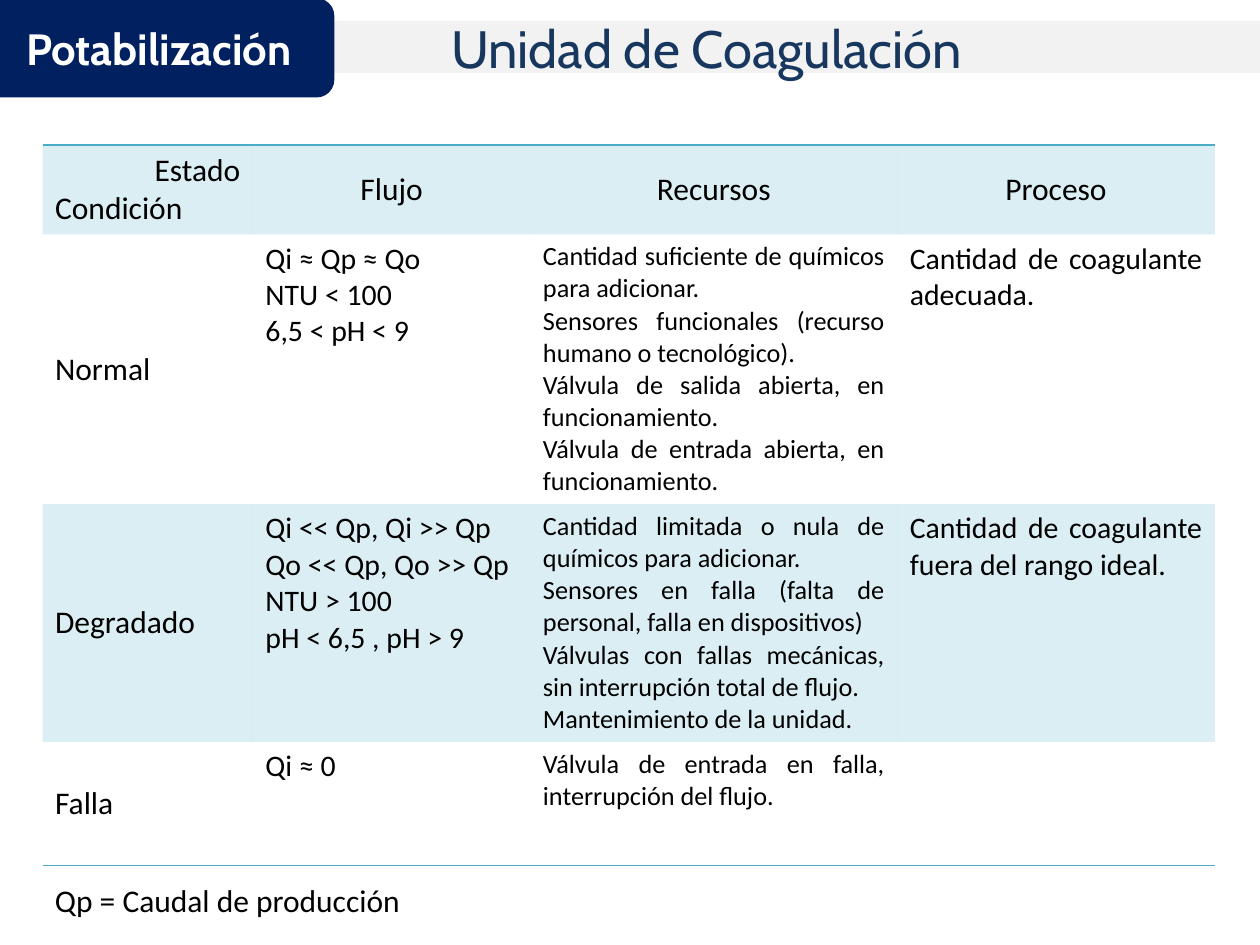
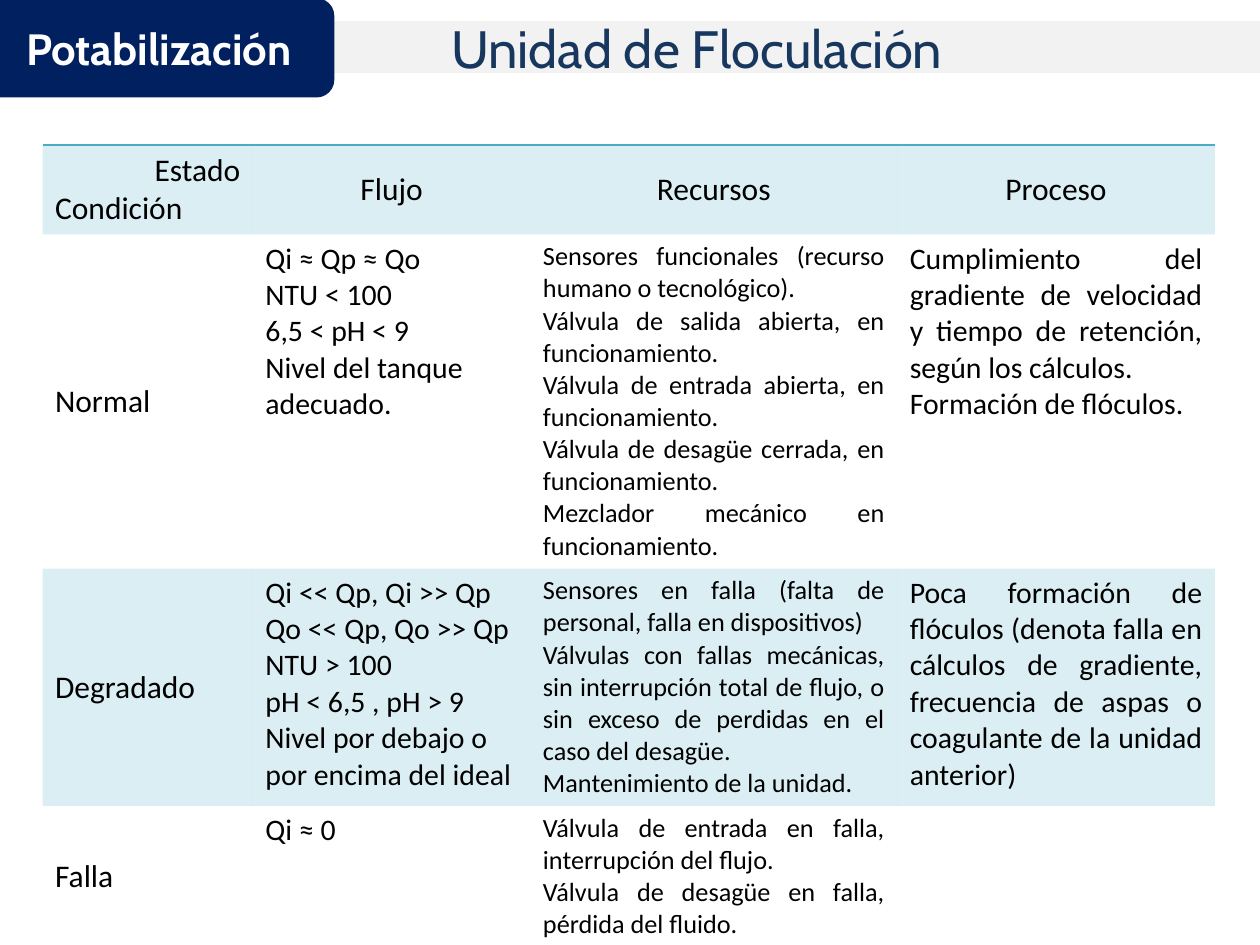
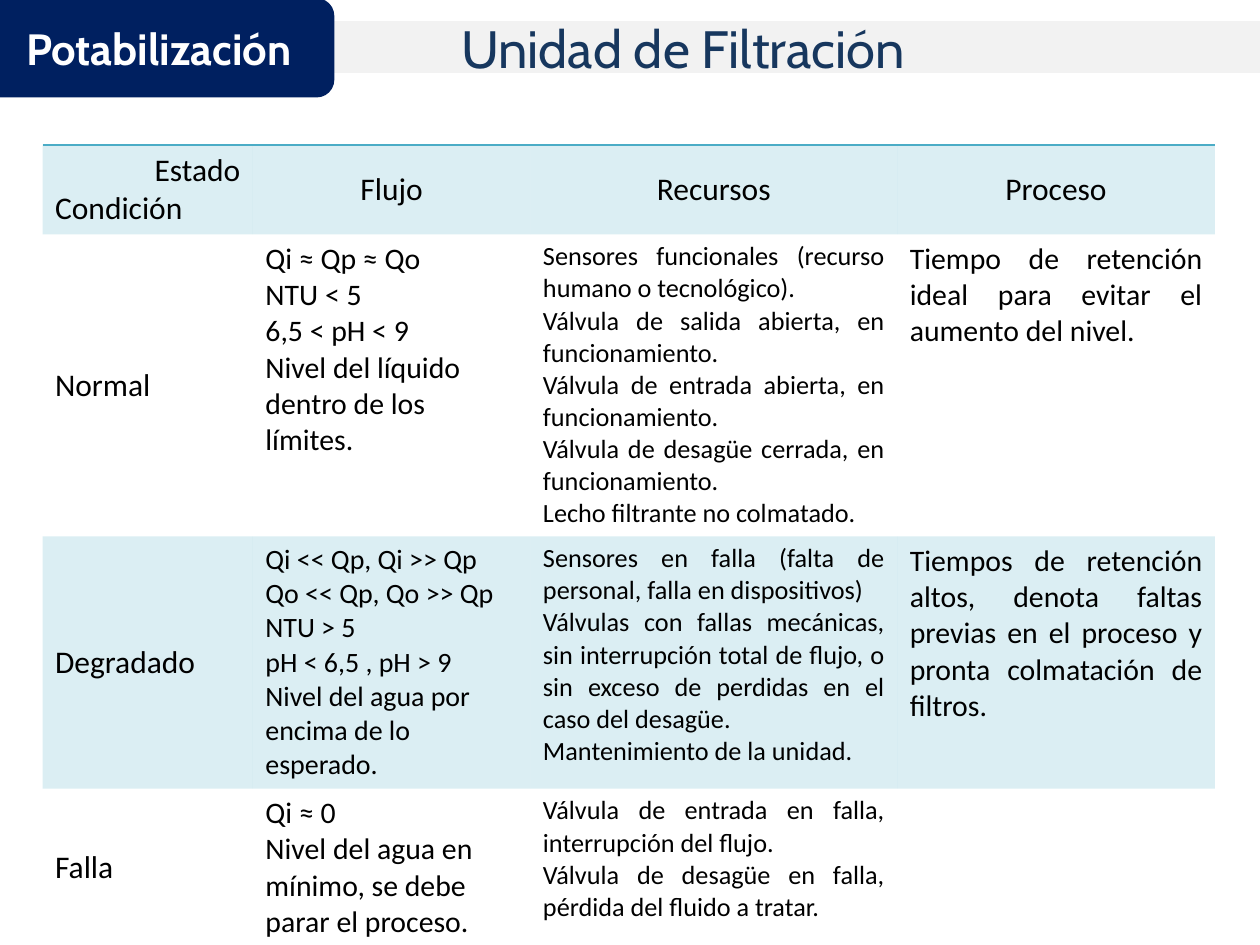
from lxml import etree
from pptx import Presentation
from pptx.dml.color import RGBColor
from pptx.enum import shapes, text
from pptx.oxml import ns
from pptx.util import Pt

NAVY = RGBColor(0x00, 0x20, 0x60)
TITLE_BLUE = RGBColor(0x17, 0x37, 0x5E)
BAND_GREY = RGBColor(0xF2, 0xF2, 0xF2)
TEAL = RGBColor(0x4B, 0xAC, 0xC6)
WHITE = RGBColor(0xFF, 0xFF, 0xFF)
BLACK = RGBColor(0x00, 0x00, 0x00)

SLIDE_WIDTH, SLIDE_HEIGHT = 720, 540
BAND_TOP, BAND_HEIGHT = 13, 28
TAB_BOX = (-8.64, 0, 198.72, 54.72)
TABLE_BOX = (24.3, 82.8, 670, 391)
NOTE_BOX = (24.3, 499.7, 214.5, 28.8)
COLUMN_WIDTHS = (120.2, 158.6, 209.6, 181.6)
ROW_HEIGHTS = (48.2, 144.7, 127.4, 70.6)
TINT_OPACITY = 20
NO_STYLE_NO_GRID = "{2D5ABB26-0587-4C30-8999-92F81FD0307C}"

TITLE_FONT = {"name": "Cabin", "size": Pt(30), "bold": False}
TAB_FONT = {"name": "Cabin", "size": Pt(25), "bold": True}
LABEL_FONT = {"name": "Calibri", "size": Pt(18), "bold": False}

LEFT, CENTER = text.PP_ALIGN.LEFT, text.PP_ALIGN.CENTER
RIGHT, JUSTIFY = text.PP_ALIGN.RIGHT, text.PP_ALIGN.JUSTIFY
TOP, MIDDLE = text.MSO_ANCHOR.TOP, text.MSO_ANCHOR.MIDDLE
BOTTOM = text.MSO_ANCHOR.BOTTOM

CONDITIONS = ("Normal", "Degradado", "Falla")
HEADINGS = ("Flujo", "Recursos", "Proceso")
COLUMN_SIZES = (17, 15, 17)
COLUMN_ALIGNMENTS = (LEFT, JUSTIFY, JUSTIFY)

NORMAL_FLOW = ["Qi ≈ Qp ≈ Qo", "NTU < 100", "6,5 < pH < 9"]
DEGRADED_FLOW = ["Qi << Qp, Qi >> Qp", "Qo << Qp, Qo >> Qp", "NTU > 100", "pH < 6,5 , pH > 9"]
NO_FLOW = "Qi ≈ 0"
SENSORS_AND_VALVES = [
    "Sensores funcionales (recurso humano o tecnológico).",
    "Válvula de salida abierta, en funcionamiento.",
    "Válvula de entrada abierta, en funcionamiento.",
]
DRAIN_CLOSED = "Válvula de desagüe cerrada, en funcionamiento."
SENSORS_FAILING = "Sensores en falla (falta de personal, falla en dispositivos)"
VALVES_FAILING = "Válvulas con fallas mecánicas, sin interrupción total de flujo"
MAINTENANCE = "Mantenimiento de la unidad."
DRAINED_RESOURCES = [
    SENSORS_FAILING,
    VALVES_FAILING + ", o sin exceso de perdidas en el caso del desagüe.",
    MAINTENANCE,
]
INLET_FAILED = "Válvula de entrada en falla, interrupción del flujo."


def with_turbidity(lines, limit):
    return [line.replace("100", limit) for line in lines]


UNITS = [
    {
        "title": "Unidad de Coagulación",
        "band_left": 178.6,
        "note": "Qp = Caudal de producción",
        "rows": [
            (NORMAL_FLOW,
             ["Cantidad suficiente de químicos para adicionar."] + SENSORS_AND_VALVES,
             ["Cantidad de coagulante adecuada."]),
            (DEGRADED_FLOW,
             ["Cantidad limitada o nula de químicos para adicionar.",
              SENSORS_FAILING, VALVES_FAILING + ".", MAINTENANCE],
             ["Cantidad de coagulante fuera del rango ideal."]),
            ([NO_FLOW], [INLET_FAILED], []),
        ],
    },
    {
        "title": "Unidad de Floculación",
        "band_left": 178.6,
        "rows": [
            (NORMAL_FLOW + ["Nivel del tanque adecuado."],
             SENSORS_AND_VALVES + [DRAIN_CLOSED, "Mezclador mecánico en funcionamiento."],
             ["Cumplimiento del gradiente de velocidad y tiempo de retención, "
              "según los cálculos.", "Formación de flóculos."]),
            (DEGRADED_FLOW + ["Nivel por debajo o por encima del ideal"],
             DRAINED_RESOURCES,
             ["Poca formación de flóculos (denota falla en cálculos de gradiente, "
              "frecuencia de aspas o coagulante de la unidad anterior)"]),
            ([NO_FLOW],
             [INLET_FAILED, "Válvula de desagüe en falla, pérdida del fluido."], []),
        ],
    },
    {
        "title": "Unidad de Filtración",
        "band_left": 184.3,
        "degraded_flow_size": 16,
        "rows": [
            (with_turbidity(NORMAL_FLOW, "5") + ["Nivel del líquido dentro de los límites."],
             SENSORS_AND_VALVES + [DRAIN_CLOSED, "Lecho filtrante no colmatado."],
             ["Tiempo de retención ideal para evitar el aumento del nivel."]),
            (with_turbidity(DEGRADED_FLOW, "5")
             + ["Nivel del agua por encima de lo esperado."],
             DRAINED_RESOURCES,
             ["Tiempos de retención altos, denota faltas previas en el proceso y "
              "pronta colmatación de filtros."]),
            ([NO_FLOW, "Nivel del agua en mínimo, se debe parar el proceso."],
             [INLET_FAILED, "Válvula de desagüe en falla, pérdida del fluido a tratar."], []),
        ],
    },
]


def apply_format(target, values):
    for name, value in values.items():
        setattr(target, name, value)


def points(box):
    return [Pt(length) for length in box]


def write_lines(frame, lines, font, color, alignments):
    """Write one paragraph per line; the last alignment serves all later lines."""
    for index, line in enumerate(lines or [""]):
        paragraph = frame.add_paragraph() if index else frame.paragraphs[0]
        paragraph.alignment = alignments[min(index, len(alignments) - 1)]
        paragraph.font.size = font["size"]
        if line:
            run = paragraph.add_run()
            run.text = line
            apply_format(run.font, font)
            run.font.color.rgb = color


def paint(shape, color):
    shape.fill.solid()
    shape.fill.fore_color.rgb = color
    shape.line.color.rgb = color
    shape.line.width = Pt(2)
    shape.shadow.inherit = False


def add_title_band(slide, title, left):
    band = slide.shapes.title
    box = points((left, BAND_TOP, SLIDE_WIDTH - left, BAND_HEIGHT))
    apply_format(band, dict(zip(("left", "top", "width", "height"), box)))
    paint(band, BAND_GREY)
    apply_format(band.text_frame, {
        "auto_size": text.MSO_AUTO_SIZE.NONE, "word_wrap": True,
        "vertical_anchor": MIDDLE, "margin_left": Pt(79.2),
    })
    write_lines(band.text_frame, [title], TITLE_FONT, TITLE_BLUE, [LEFT])


def add_section_tab(slide, box):
    tab = slide.shapes.add_shape(shapes.MSO_SHAPE.ROUNDED_RECTANGLE, *points(box))
    paint(tab, NAVY)
    apply_format(tab.text_frame, {"vertical_anchor": MIDDLE, "word_wrap": True})
    write_lines(tab.text_frame, ["Potabilización"], TAB_FONT, WHITE, [CENTER])


def add_note(slide, note, box):
    frame = slide.shapes.add_textbox(*points(box)).text_frame
    frame.word_wrap = False
    write_lines(frame, [note], LABEL_FONT, BLACK, [LEFT])


def tint(cell):
    cell.fill.solid()
    cell.fill.fore_color.rgb = TEAL
    color = cell._tc.tcPr.find(".//" + ns.qn("a:srgbClr"))
    etree.SubElement(color, ns.qn("a:alpha"), val=str(TINT_OPACITY * 1000))


def rule_edge(cell, edge):
    """Draw a thin teal border along the named edge, such as a:lnT."""
    properties = cell._tc.get_or_add_tcPr()
    line = etree.SubElement(properties, ns.qn(edge), w=str(Pt(1)))
    fill = etree.SubElement(line, ns.qn("a:solidFill"))
    etree.SubElement(fill, ns.qn("a:srgbClr"), val=str(TEAL))
    properties.insert(0, line)


def fill_cell(cell, lines, size, alignments, anchor):
    cell.vertical_anchor = anchor
    write_lines(cell.text_frame, lines, {**LABEL_FONT, "size": Pt(size)}, BLACK, alignments)


def add_condition_table(slide, unit, box):
    frame = slide.shapes.add_table(len(ROW_HEIGHTS), len(COLUMN_WIDTHS), *points(box))
    table = frame.table
    table._tbl.tblPr.find(ns.qn("a:tableStyleId")).text = NO_STYLE_NO_GRID
    apply_format(table, {"first_row": False, "horz_banding": False})
    for column, width in zip(table.columns, COLUMN_WIDTHS):
        column.width = Pt(width)
    for row, height in zip(table.rows, ROW_HEIGHTS):
        row.height = Pt(height)

    fill_cell(table.cell(0, 0), ["Estado", "Condición"], 18, [RIGHT, LEFT], BOTTOM)
    for column, heading in enumerate(HEADINGS, 1):
        fill_cell(table.cell(0, column), [heading], 18, [CENTER], MIDDLE)

    for row, (condition, contents) in enumerate(zip(CONDITIONS, unit["rows"]), 1):
        fill_cell(table.cell(row, 0), [condition], 18, [LEFT], MIDDLE)
        sizes = list(COLUMN_SIZES)
        if condition == "Degradado":
            sizes[0] = unit.get("degraded_flow_size", sizes[0])
        columns = zip(contents, sizes, COLUMN_ALIGNMENTS)
        for column, (lines, size, alignment) in enumerate(columns, 1):
            fill_cell(table.cell(row, column), lines, size, [alignment], TOP)

    for row in range(len(ROW_HEIGHTS)):
        for cell in table.rows[row].cells:
            if row % 2 == 0:
                tint(cell)
            else:
                cell.fill.background()
            if row == 0:
                rule_edge(cell, "a:lnT")
            elif row == len(ROW_HEIGHTS) - 1:
                rule_edge(cell, "a:lnB")


def add_unit_slide(presentation, unit):
    slide = presentation.slides.add_slide(presentation.slide_layouts.get_by_name("Title Only"))
    add_title_band(slide, unit["title"], unit["band_left"])
    add_condition_table(slide, unit, TABLE_BOX)
    if "note" in unit:
        add_note(slide, unit["note"], NOTE_BOX)
    add_section_tab(slide, TAB_BOX)


def main():
    presentation = Presentation()
    apply_format(presentation, {
        "slide_width": Pt(SLIDE_WIDTH), "slide_height": Pt(SLIDE_HEIGHT),
    })
    for unit in UNITS:
        add_unit_slide(presentation, unit)
    presentation.save("out.pptx")


if __name__ == "__main__":
    main()
